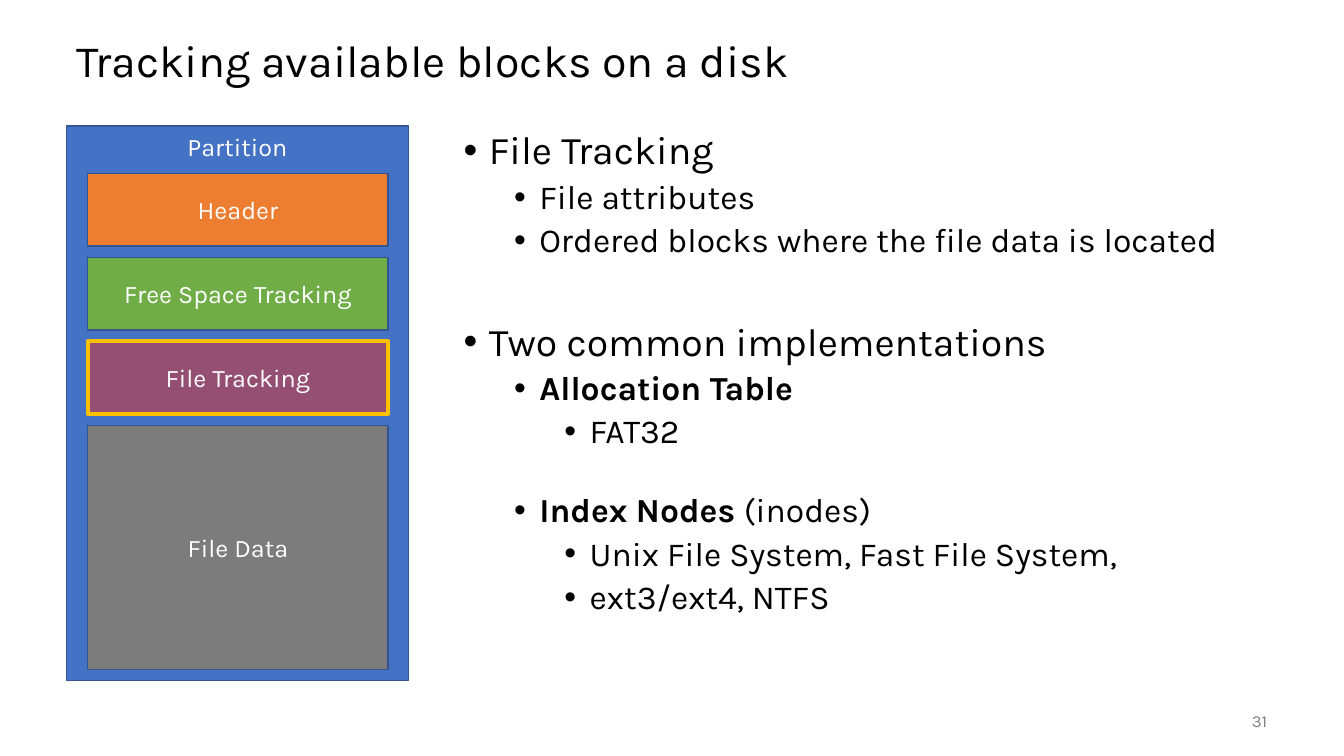
from dataclasses import dataclass

import lxml.etree
import pptx
import pptx.dml.color
import pptx.enum.shapes
import pptx.enum.text
import pptx.oxml.ns
import pptx.util

FONT = "Karla"
WIDTH = pptx.util.Inches(13.333)
HEIGHT = pptx.util.Inches(7.5)
ALIGN = pptx.enum.text.PP_ALIGN
ANCHOR = pptx.enum.text.MSO_ANCHOR
OUTLINE = "325491"
BLACK = "000000"
WHITE = "FFFFFF"
BAND_GAP = 1.51


@dataclass(frozen=True)
class Area:
    """Left, top, width and height as percentages of the slide."""
    left: float
    top: float
    width: float
    height: float

    def lengths(self) -> tuple[int, int, int, int]:
        return (
            round(WIDTH * self.left / 100),
            round(HEIGHT * self.top / 100),
            round(WIDTH * self.width / 100),
            round(HEIGHT * self.height / 100),
        )


@dataclass(frozen=True)
class Band:
    label: str
    fill: str
    height: float = 9.6
    outline: str = OUTLINE
    outline_width: float = 1


@dataclass(frozen=True)
class Bullet:
    level: int
    text: str
    bold_text: str = ""
    space_before: float = 5


TITLE_AREA = Area(4.95, 3.33, 90, 10)
BODY_AREA = Area(33.75, 16.67, 61.2, 73.33)
NUMBER_AREA = Area(87.53, 92.67, 7.5, 5.33)
PARTITION_AREA = Area(4.95, 16.67, 25.43, 73.33)
BANDS_AREA = Area(6.53, 22.93, 22.35, 65.6)

BANDS = [
    Band("Header", "ED7D31"),
    Band("Free Space Tracking", "70AD47"),
    Band("File Tracking", "954F72", outline="FFC000", outline_width=3),
    Band("File Data", "7C7C7C", height=32.27),
]

BULLETS = [
    Bullet(0, "File Tracking", space_before=0),
    Bullet(1, "File attributes"),
    Bullet(1, "Ordered blocks where the file data is located"),
    Bullet(0, "Two common implementations", space_before=44.5),
    Bullet(1, "", bold_text="Allocation Table"),
    Bullet(2, "FAT32"),
    Bullet(1, "(inodes)", bold_text="Index Nodes ", space_before=30.5),
    Bullet(2, "Unix File System, Fast File System,"),
    Bullet(2, "ext3/ext4, NTFS"),
]


def color(value: str) -> pptx.dml.color.RGBColor:
    return pptx.dml.color.RGBColor.from_string(value)


def place(shape, area: Area) -> None:
    shape.left, shape.top, shape.width, shape.height = area.lengths()


def format_font(paragraph, size: float, value: str) -> None:
    paragraph.font.name = FONT
    paragraph.font.size = pptx.util.Pt(size)
    paragraph.font.color.rgb = color(value)


def write_line(shape, text: str, size: float, value: str, align, anchor):
    frame = shape.text_frame
    frame.word_wrap = True
    frame.auto_size = pptx.enum.text.MSO_AUTO_SIZE.NONE
    frame.vertical_anchor = anchor
    paragraph = frame.paragraphs[0]
    paragraph.text = text
    paragraph.alignment = align
    format_font(paragraph, size, value)
    return paragraph


def add_bullet_mark(paragraph, level: int) -> None:
    paragraph.level = level
    properties = paragraph._p.get_or_add_pPr()
    properties.set("marL", str(pptx.util.Inches(0.25 + 0.5 * level)))
    properties.set("indent", str(pptx.util.Inches(-0.25)))
    qualified = pptx.oxml.ns.qn
    lxml.etree.SubElement(properties, qualified("a:buFont"), typeface="Arial")
    lxml.etree.SubElement(properties, qualified("a:buChar"), char="•")


def write_bullets(body, bullets: list[Bullet]) -> None:
    frame = body.text_frame
    frame.word_wrap = True
    frame.auto_size = pptx.enum.text.MSO_AUTO_SIZE.NONE
    frame.vertical_anchor = ANCHOR.TOP
    for index, bullet in enumerate(bullets):
        paragraph = frame.add_paragraph() if index else frame.paragraphs[0]
        add_bullet_mark(paragraph, bullet.level)
        paragraph.line_spacing = 0.9
        paragraph.space_before = pptx.util.Pt(bullet.space_before)
        paragraph.alignment = ALIGN.LEFT
        format_font(paragraph, 24 if bullet.level else 28, BLACK)
        for text, bold in ((bullet.bold_text, True), (bullet.text, False)):
            if text:
                run = paragraph.add_run()
                run.text = text
                run.font.bold = bold


def add_block(group, area: Area, band: Band, anchor) -> None:
    rectangle = pptx.enum.shapes.MSO_SHAPE.RECTANGLE
    shape = group.shapes.add_shape(rectangle, *area.lengths())
    shape.shadow.inherit = False
    shape.fill.solid()
    shape.fill.fore_color.rgb = color(band.fill)
    shape.line.color.rgb = color(band.outline)
    shape.line.width = pptx.util.Pt(band.outline_width)
    write_line(shape, band.label, 18, WHITE, ALIGN.CENTER, anchor)


def add_partition(slide) -> None:
    group = slide.shapes.add_group_shape()
    add_block(group, PARTITION_AREA, Band("Partition", "4472C4"), ANCHOR.TOP)
    top = BANDS_AREA.top
    for band in BANDS:
        area = Area(BANDS_AREA.left, top, BANDS_AREA.width, band.height)
        add_block(group, area, band, ANCHOR.MIDDLE)
        top += band.height + BAND_GAP


def main() -> None:
    presentation = pptx.Presentation()
    presentation.slide_width = WIDTH
    presentation.slide_height = HEIGHT
    slide = presentation.slides.add_slide(presentation.slide_layouts[1])

    title = slide.shapes.title
    place(title, TITLE_AREA)
    heading = write_line(title, "Tracking available blocks on a disk", 32,
                         BLACK, ALIGN.LEFT, ANCHOR.MIDDLE)
    heading.line_spacing = 0.9

    body = slide.placeholders[1]
    place(body, BODY_AREA)
    write_bullets(body, BULLETS)

    number = slide.shapes.add_textbox(*NUMBER_AREA.lengths())
    write_line(number, "31", 12, "808080", ALIGN.RIGHT, ANCHOR.MIDDLE)

    add_partition(slide)
    presentation.save("out.pptx")


if __name__ == "__main__":
    main()
